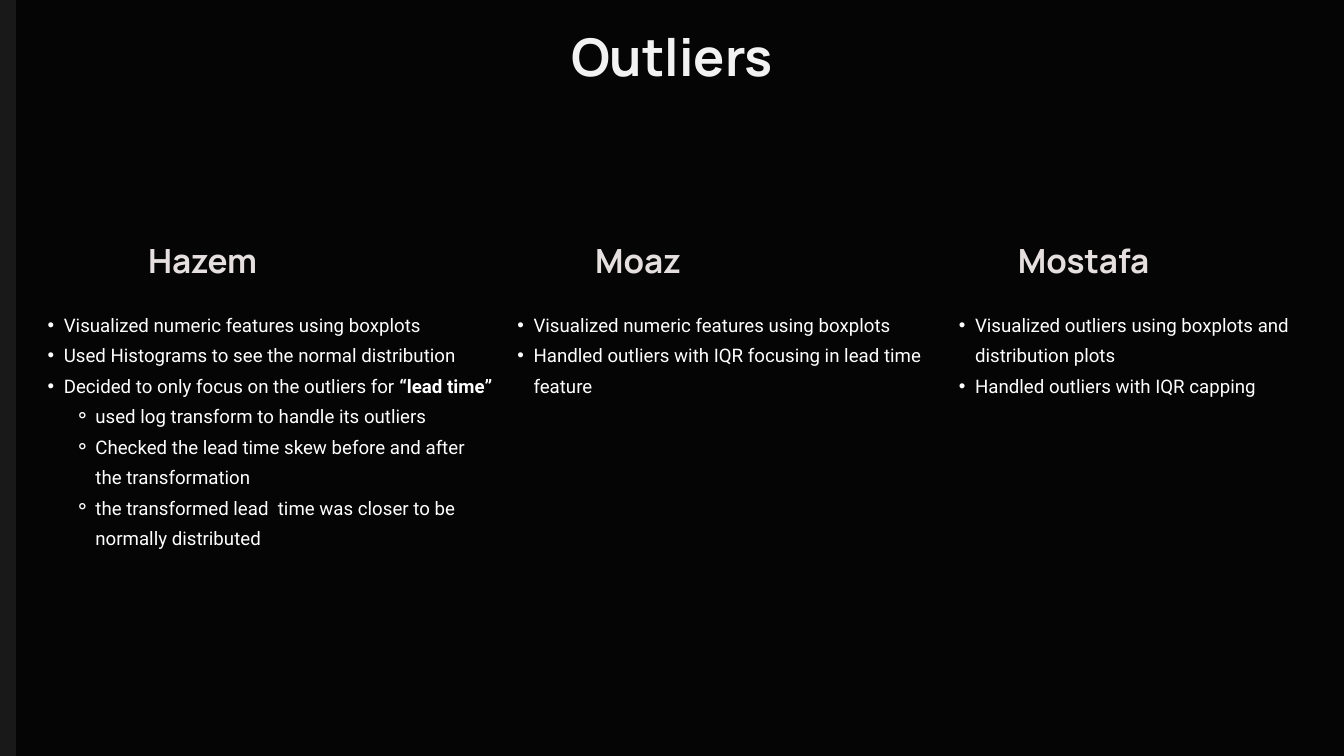
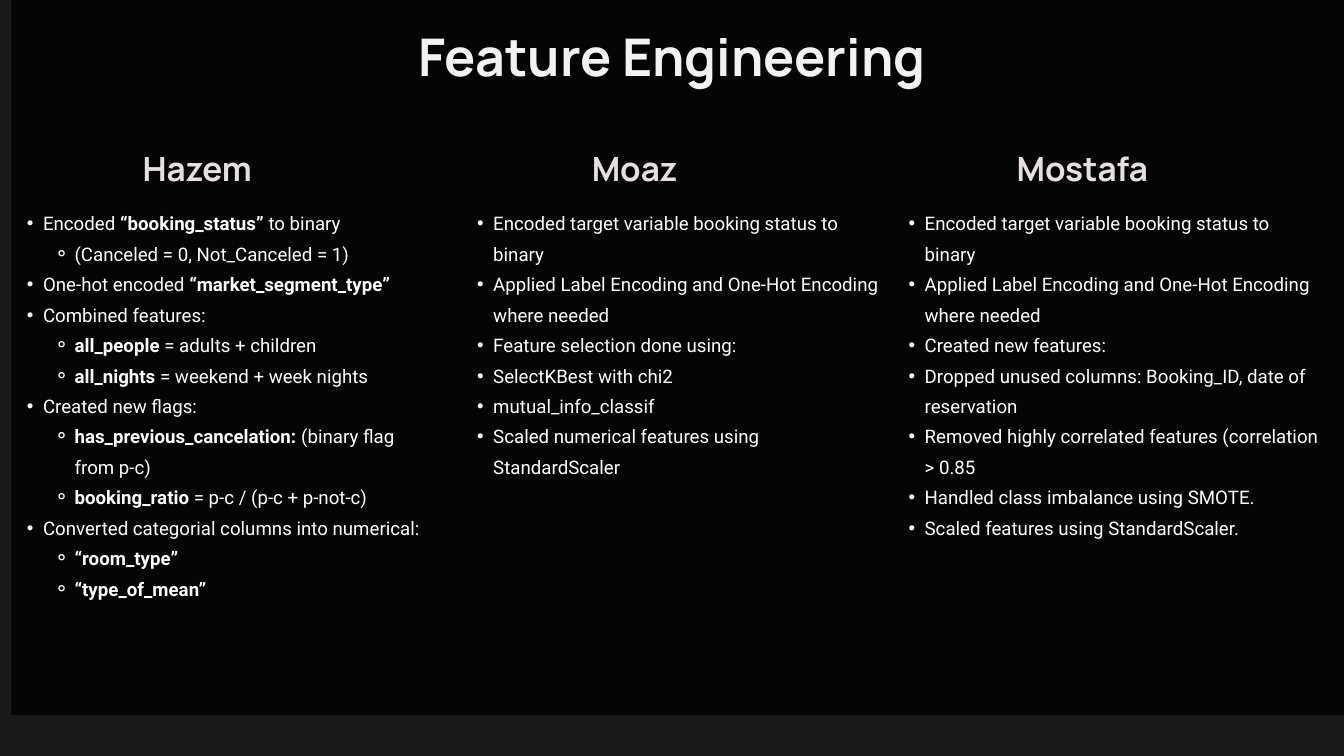
from lxml import etree
from pptx import Presentation
from pptx.dml.color import RGBColor
from pptx.enum.shapes import MSO_SHAPE
from pptx.enum.text import MSO_ANCHOR, MSO_AUTO_SIZE, PP_ALIGN
from pptx.oxml.ns import qn
from pptx.util import Pt

SLIDE_WIDTH, SLIDE_HEIGHT = 1440, 810
BACKGROUND, FRAME, PANEL = "000000", "19191A", "050505"
TITLE_BOX = (408.24, 23.76, 623.52, 72.72)
HEADING_HEIGHT = 46.08
HEADING_WIDTHS = {"Hazem": 130.32, "Moaz": 104.4, "Mostafa ": 157.68}
BULLETS = [("•", 33.84, -17.28), ("⚬", 67.68, -22.32)]


def color(value):
    return RGBColor.from_string(value)


TITLE = {"size": Pt(55.6), "name": "Manrope", "bold": True, "color": "F2F2F3"}
HEADING = {"size": Pt(35.7), "name": "Manrope", "bold": True, "color": "E5E0DF"}
BODY = {"size": Pt(20), "name": "Roboto", "bold": False, "color": "FFFFFF"}


def apply_format(font, values):
    for name, value in values.items():
        if name == "color":
            font.color.rgb = color(value)
        else:
            setattr(font, name, value)


def place(shape, box):
    for name, length in zip(("left", "top", "width", "height"), box):
        setattr(shape, name, Pt(length))


def prepare_frame(shape):
    values = {"word_wrap": True, "auto_size": MSO_AUTO_SIZE.NONE,
              "vertical_anchor": MSO_ANCHOR.TOP, "margin_left": 0,
              "margin_top": 0, "margin_right": 0, "margin_bottom": 0}
    for name, value in values.items():
        setattr(shape.text_frame, name, value)
    return shape.text_frame


def add_text_box(slide, box):
    return slide.shapes.add_textbox(*map(Pt, box))


def write_centered(shape, text, text_format, spacing):
    paragraph = prepare_frame(shape).paragraphs[0]
    paragraph.alignment = PP_ALIGN.CENTER
    paragraph.line_spacing = Pt(spacing)
    run = paragraph.add_run()
    run.text = text
    apply_format(run.font, text_format)


def add_bullet(paragraph, level):
    character, margin, indent = BULLETS[level]
    paragraph.level = level + 1
    properties = paragraph._p.get_or_add_pPr()
    properties.set("marL", str(Pt(margin)))
    properties.set("indent", str(Pt(indent)))
    etree.SubElement(properties, qn("a:buFont")).set("typeface", "Arial")
    etree.SubElement(properties, qn("a:buChar")).set("char", character)


def add_bullet_list(slide, box, items):
    frame = prepare_frame(add_text_box(slide, box))
    for index, item in enumerate(items):
        paragraph = frame.add_paragraph() if index else frame.paragraphs[0]
        add_bullet(paragraph, int(item.startswith("> ")))
        paragraph.line_spacing = Pt(32.6)
        for part, text in enumerate(item.removeprefix("> ").split("**")):
            if text:
                run = paragraph.add_run()
                run.text = text
                apply_format(run.font, {**BODY, "bold": part % 2 == 1})


def add_column(slide, box, heading_gap, name, heading_offset, items):
    left, top, width, height = box
    heading_box = (left + heading_offset, top, HEADING_WIDTHS[name], HEADING_HEIGHT)
    write_centered(add_text_box(slide, heading_box), name, HEADING, 44.6)
    add_bullet_list(slide, (left, top + heading_gap, width, height - heading_gap), items)


def add_block(slide, box, fill):
    block = slide.shapes.add_shape(MSO_SHAPE.RECTANGLE, *map(Pt, box))
    block.shadow.inherit = False
    block.fill.solid()
    block.fill.fore_color.rgb = color(fill)
    block.line.fill.background()


def add_comparison_slide(presentation, title, panel_left, panel_height,
                         columns_top, heading_gap, columns):
    slide = presentation.slides.add_slide(presentation.slide_layouts[5])
    slide.background.fill.solid()
    slide.background.fill.fore_color.rgb = color(BACKGROUND)
    add_block(slide, (0, 0, SLIDE_WIDTH, SLIDE_HEIGHT), FRAME)
    add_block(slide, (panel_left, 0, SLIDE_WIDTH - panel_left, panel_height), PANEL)
    title_shape = slide.shapes.title
    slide.shapes._spTree.append(title_shape._element)
    place(title_shape, TITLE_BOX)
    write_centered(title_shape, title, TITLE, 69.4)
    for name, left, width, list_height, heading_offset, items in columns:
        box = (left, columns_top, width, heading_gap + list_height)
        add_column(slide, box, heading_gap, name, heading_offset, items)


OUTLIERS = [
    ("Hazem", 34.56, 493.92, 289.44, 117.36, [
        "Visualized numeric features using boxplots",
        "Used Histograms to see the normal distribution",
        "Decided to only focus on the outliers for **“lead time”**",
        "> used log transform to handle its outliers",
        "> Checked the lead time skew before and after the transformation",
        "> the transformed lead  time was closer to be normally distributed",
    ]),
    ("Moaz", 537.84, 493.92, 95.76, 93.6, [
        "Visualized numeric features using boxplots",
        "Handled outliers with IQR focusing in lead time feature",
    ]),
    ("Mostafa ", 1010.88, 385.92, 95.76, 74.88, [
        "Visualized outliers using boxplots and distribution plots",
        "Handled outliers with IQR capping",
    ]),
]

ENCODING = [
    "Encoded target variable booking status to binary",
    "Applied Label Encoding and One-Hot Encoding where needed",
]

FEATURES = [
    ("Hazem", 12.24, 454.32, 418.32, 133.92, [
        "Encoded **“booking_status” **to binary",
        "> (Canceled = 0, Not_Canceled = 1)",
        "One-hot encoded **“market_segment_type”**",
        "Combined features:",
        "> **all_people** = adults + children",
        "> **all_nights** = weekend + week nights",
        "Created new flags:",
        "> **has_previous_cancelation: **(binary flag from p-c)",
        "> **booking_ratio** = p-c / (p-c + p-not-c)",
        "Converted categorial columns into numerical:",
        "> **“room_type”**",
        "> **“type_of_mean”**",
    ]),
    ("Moaz", 494.64, 450.72, 321.12, 133.2, ENCODING + [
        "Feature selection done using:",
        "SelectKBest with chi2",
        "mutual_info_classif",
        "Scaled numerical features using StandardScaler",
    ]),
    ("Mostafa ", 956.88, 460.8, 418.32, 127.44, ENCODING + [
        "Created new features:",
        "Dropped unused columns: Booking_ID, date of reservation",
        "Removed highly correlated features (correlation > 0.85",
        "Handled class imbalance using SMOTE.",
        "Scaled features using StandardScaler.",
    ]),
]


def main():
    presentation = Presentation()
    presentation.slide_width = Pt(SLIDE_WIDTH)
    presentation.slide_height = Pt(SLIDE_HEIGHT)
    add_comparison_slide(presentation, "Outliers", 17.28, SLIDE_HEIGHT,
                         255.6, 72, OUTLIERS)
    add_comparison_slide(presentation, "Feature Engineering", 12.24, 766.08,
                         156.96, 61.92, FEATURES)
    presentation.save("out.pptx")


if __name__ == "__main__":
    main()
